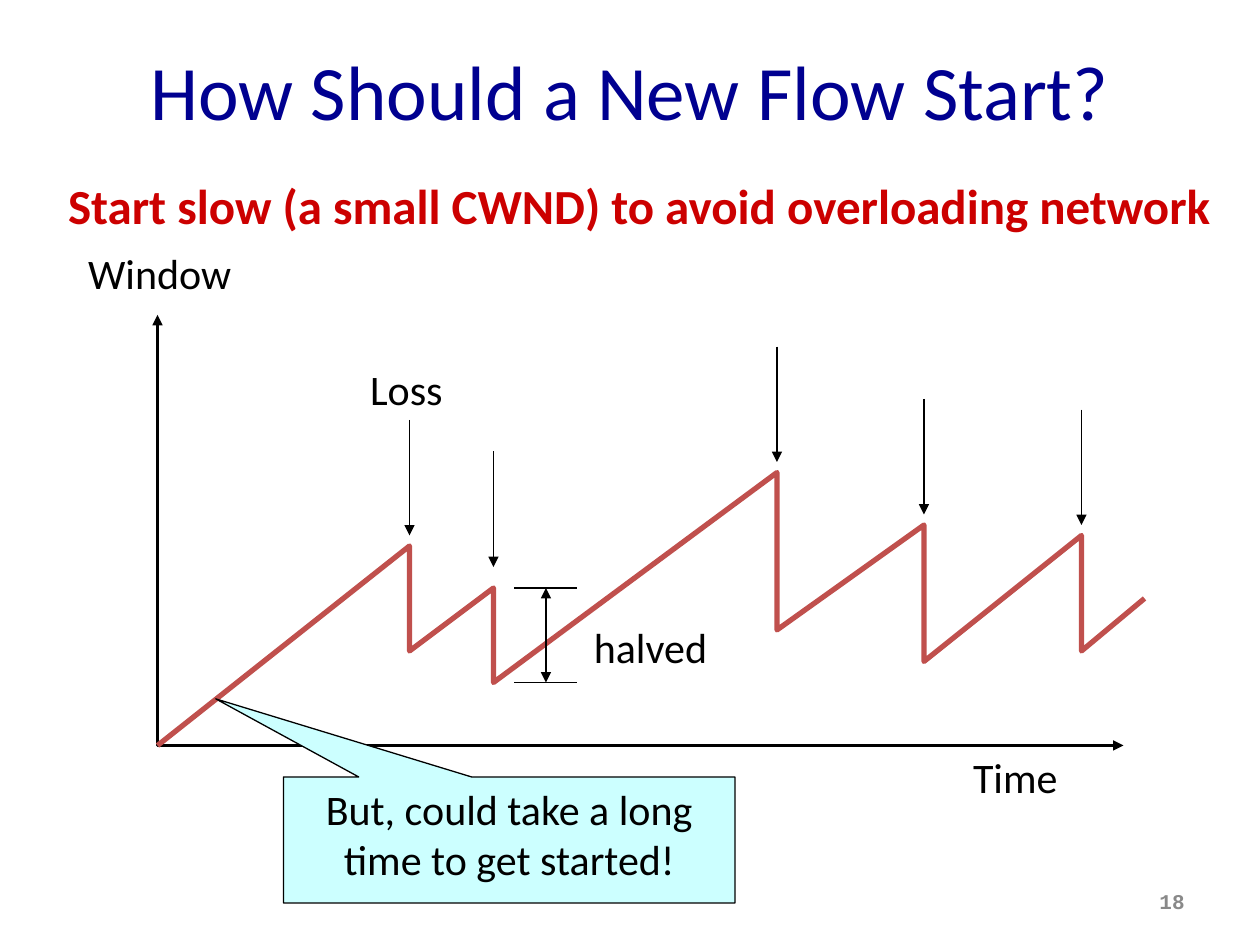
from dataclasses import dataclass

import pptx
import pptx.dml.color
import pptx.enum.shapes
import pptx.enum.text
import pptx.oxml.ns
import pptx.util
from lxml import etree

PX = 7620  # EMU in one px, 120 px to the inch
ALIGN = pptx.enum.text.PP_ALIGN
ANCHOR = pptx.enum.text.MSO_ANCHOR
BLACK = "000000"


@dataclass
class Box:
    x: int
    y: int
    w: int
    h: int


@dataclass
class Label:
    text: str
    box: Box
    size: int = 24
    color: str = BLACK
    bold: bool = False
    font: str = "Calibri"
    align: ALIGN = ALIGN.CENTER
    anchor: ANCHOR = ANCHOR.TOP
    wrap: bool = False


@dataclass
class Line:
    x1: int
    y1: int
    x2: int
    y2: int
    head: bool = False
    tail: bool = False


@dataclass
class Path:
    points: list[tuple[int, int]]
    color: str
    width: float
    arrows: bool = False


@dataclass
class Loss:
    x: int
    peak: int
    trough: int
    gap: int = 10  # between the arrow tip and the peak


def rgb(value: str) -> pptx.dml.color.RGBColor:
    return pptx.dml.color.RGBColor.from_string(value)


def emu(box: Box) -> list[int]:
    return [v * PX for v in (box.x, box.y, box.w, box.h)]


def set_line(sp, color: str, width: float, head=False, tail=False) -> None:
    sp.line.color.rgb = rgb(color)
    sp.line.width = pptx.util.Pt(width)
    ln = sp.line._get_or_add_ln()
    for tag, wanted in (("a:headEnd", head), ("a:tailEnd", tail)):
        if wanted:
            etree.SubElement(ln, pptx.oxml.ns.qn(tag), type="triangle")


def write(tf, label: Label) -> None:
    tf.text = label.text
    tf.word_wrap = label.wrap
    tf.vertical_anchor = label.anchor
    p = tf.paragraphs[0]
    p.alignment = label.align
    p.font.name = label.font
    p.font.size = pptx.util.Pt(label.size)
    p.font.bold = label.bold
    p.font.color.rgb = rgb(label.color)


def add_title(s, label: Label) -> None:
    sp = s.shapes.title
    sp.left, sp.top, sp.width, sp.height = emu(label.box)
    write(sp.text_frame, label)


def add_label(s, label: Label) -> None:
    sp = s.shapes.add_textbox(*emu(label.box))
    write(sp.text_frame, label)


def add_line(s, line: Line) -> None:
    ends = [v * PX for v in (line.x1, line.y1, line.x2, line.y2)]
    sp = s.shapes.add_connector(pptx.enum.shapes.MSO_CONNECTOR.STRAIGHT, *ends)
    set_line(sp, BLACK, 0.75, line.head, line.tail)
    etree.SubElement(sp._element.spPr, pptx.oxml.ns.qn("a:effectLst"))


def add_path(s, path: Path) -> None:
    builder = s.shapes.build_freeform(*path.points[0], scale=PX)
    builder.add_line_segments(path.points[1:], close=False)
    sp = builder.convert_to_shape()
    sp.fill.background()
    set_line(sp, path.color, path.width, path.arrows, path.arrows)
    sp.shadow.inherit = False


def add_callout(s, label: Label, fill: str, tip: tuple[float, float]) -> None:
    kind = pptx.enum.shapes.MSO_SHAPE.RECTANGULAR_CALLOUT
    sp = s.shapes.add_shape(kind, *emu(label.box))
    sp.adjustments[0], sp.adjustments[1] = tip
    sp.fill.solid()
    sp.fill.fore_color.rgb = rgb(fill)
    set_line(sp, BLACK, 0.75)
    sp.shadow.inherit = False
    write(sp.text_frame, label)


ORIGIN = (150, 710)
LOSSES = [
    Loss(390, 520, 620),
    Loss(470, 560, 650, gap=20),
    Loss(740, 450, 600),
    Loss(880, 500, 630),
    Loss(1030, 510, 620),
]
ARROW_LENGTH = 110

TITLE = Label("How Should a New Flow Start?", Box(60, 10, 1080, 150), 44,
              "000090", anchor=ANCHOR.MIDDLE, wrap=True)
LABELS = [
    Label("Start slow (a small CWND) to avoid overloading network",
          Box(47, 161, 1123, 68), 28, "CC0000", bold=True),
    Label("Window", Box(71, 230, 162, 61)),
    Label("Time", Box(914, 710, 106, 61)),
    Label("Loss", Box(340, 340, 94, 61)),
    Label("halved", Box(553, 586, 133, 61)),
    Label("18", Box(860, 834, 280, 48), 12, "898989", bold=True,
          font="Courier New", align=ALIGN.RIGHT, anchor=ANCHOR.MIDDLE, wrap=True),
]
CALLOUT = Label("But, could take a long time to get started!",
                Box(270, 740, 430, 120), wrap=True)


def main() -> None:
    prs = pptx.Presentation()
    prs.slide_width, prs.slide_height = 1200 * PX, 900 * PX
    s = prs.slides.add_slide(prs.slide_layouts[5])
    add_title(s, TITLE)

    # Axes and the sawtooth window curve
    add_path(s, Path([(150, 300), ORIGIN, (1070, 710)], BLACK, 1.5, arrows=True))
    teeth = [pt for d in LOSSES for pt in ((d.x, d.peak), (d.x, d.trough))]
    add_path(s, Path([ORIGIN, *teeth, (1090, 570)], "C0504D", 3))

    # Bracket showing the halved window at the second loss
    halved = LOSSES[1]
    for y in (halved.trough, halved.peak):
        add_line(s, Line(490, y, 550, y))
    add_line(s, Line(520, halved.peak, 520, halved.trough, head=True, tail=True))

    # Arrow above each loss
    for loss in LOSSES:
        tip = loss.peak - loss.gap
        add_line(s, Line(loss.x, tip - ARROW_LENGTH, loss.x, tip, tail=True))

    # Callout and labels
    add_callout(s, CALLOUT, "CCFFFF", (-0.65, -1.12))
    for label in LABELS:
        add_label(s, label)

    prs.save("out.pptx")


if __name__ == "__main__":
    main()
